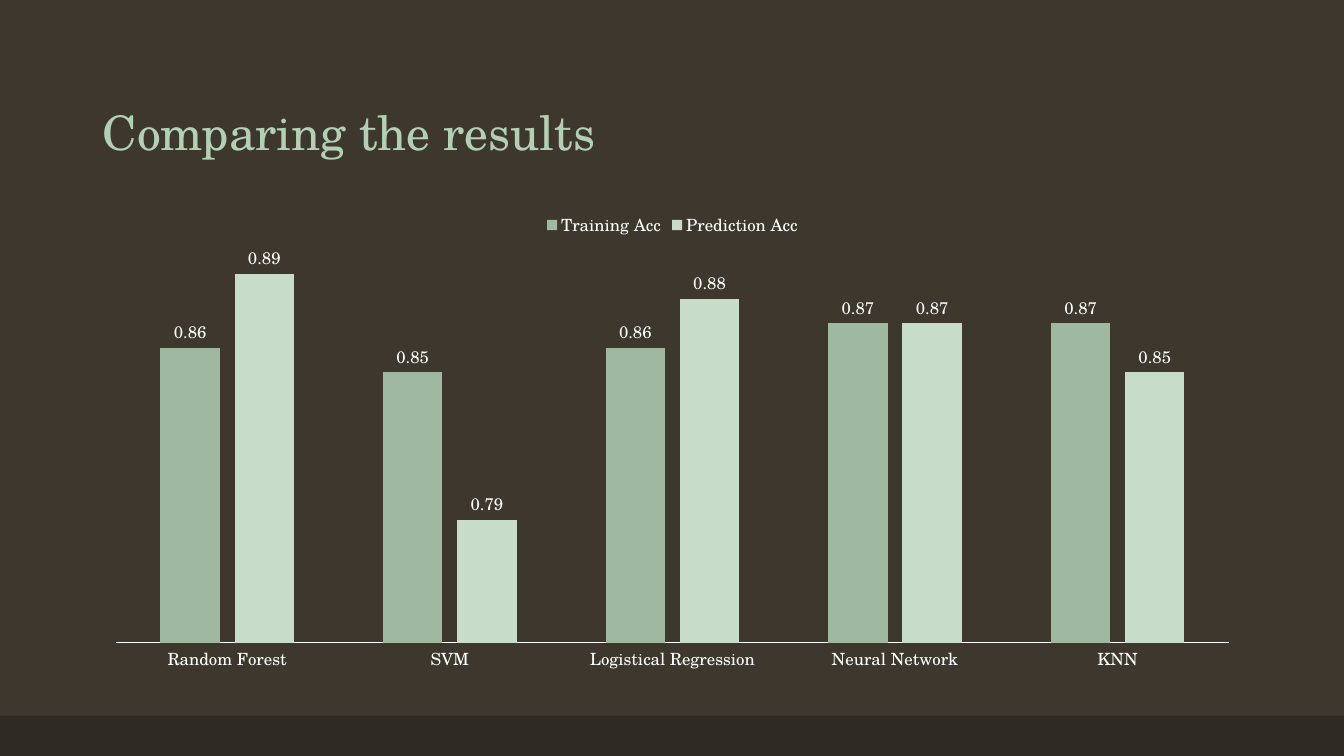
from dataclasses import dataclass

from lxml import etree
from pptx import Presentation
from pptx import util as u
from pptx.chart.data import CategoryChartData
from pptx.dml.color import RGBColor
from pptx.enum import chart as ch
from pptx.enum import shapes, text
from pptx.oxml.ns import qn


@dataclass(frozen=True)
class Theme:
    font: str = "TeX Gyre Schola"
    background: str = "3D372E"
    band: str = "2E2923"
    title: str = "B2D0B4"
    text: str = "FFFFFF"
    series: tuple = ("9EB9A0", "C7DCC9")
    title_size: int = 34
    chart_size: int = 12


THEME = Theme()
W, H = u.Inches(13.33), u.Inches(7.5)
MARGIN = u.Inches(0.92)
CONTENT_W = u.Inches(11.5)

MODELS = ("Random Forest", "SVM", "Logistical Regression", "Neural Network", "KNN")
ACCURACY = {
    "Training Acc": (0.86, 0.85, 0.86, 0.87, 0.87),
    "Prediction Acc": (0.89, 0.79, 0.88, 0.87, 0.85),
}


def paint(fill, color):
    fill.solid()
    fill.fore_color.rgb = RGBColor.from_string(color)


def style_font(font, size, color):
    font.name = THEME.font
    font.size = u.Pt(size)
    font.color.rgb = RGBColor.from_string(color)


def add_band(s, box):
    sp = s.shapes.add_shape(shapes.MSO_SHAPE.RECTANGLE, *box)
    sp.shadow.inherit = False
    paint(sp.fill, THEME.band)
    sp.line.fill.background()


def add_title(s, box, words):
    sp = s.shapes.title
    sp.left, sp.top, sp.width, sp.height = box
    tf = sp.text_frame
    tf.word_wrap = True
    tf.auto_size = text.MSO_AUTO_SIZE.NONE
    tf.vertical_anchor = text.MSO_ANCHOR.BOTTOM
    p = tf.paragraphs[0]
    p.alignment = text.PP_ALIGN.LEFT
    p.line_spacing = 0.9
    r = p.add_run()
    r.text = words
    style_font(r.font, THEME.title_size, THEME.title)


def set_plot_area(chart, **shares):
    """Place the inner plot area as shares of the chart's box."""
    plot_area = chart.element.find(".//" + qn("c:plotArea"))
    layout = plot_area.find(qn("c:layout"))
    if layout is None:
        layout = etree.Element(qn("c:layout"))
        plot_area.insert(0, layout)
    manual = etree.SubElement(layout, qn("c:manualLayout"))
    settings = {"layoutTarget": "inner", "xMode": "edge", "yMode": "edge", **shares}
    for tag, val in settings.items():
        etree.SubElement(manual, qn("c:" + tag)).set("val", str(val))


def add_accuracy_chart(s, box):
    data = CategoryChartData(number_format="0.00")
    data.categories = MODELS
    for name, values in ACCURACY.items():
        data.add_series(name, values)
    chart = s.shapes.add_chart(ch.XL_CHART_TYPE.COLUMN_CLUSTERED, *box, data).chart
    style_font(chart.font, THEME.chart_size, THEME.text)
    chart.has_title = False

    # Legend
    chart.has_legend = True
    chart.legend.position = ch.XL_LEGEND_POSITION.TOP
    chart.legend.include_in_layout = False
    style_font(chart.legend.font, THEME.chart_size, THEME.text)

    # Axes
    values = chart.value_axis
    values.minimum_scale, values.maximum_scale = 0.74, 0.9
    values.has_major_gridlines = False
    values.visible = False
    models = chart.category_axis
    models.major_tick_mark = ch.XL_TICK_MARK.NONE
    models.format.line.width = u.Pt(0.75)
    paint(models.format.line.fill, THEME.text)
    style_font(models.tick_labels.font, THEME.chart_size, THEME.text)

    # Columns and their labels
    plot = chart.plots[0]
    plot.vary_by_categories = False
    plot.gap_width, plot.overlap = 150, -25
    for series, color in zip(plot.series, THEME.series):
        paint(series.format.fill, color)
        labels = series.data_labels
        labels.show_value = True
        labels.position = ch.XL_LABEL_POSITION.OUTSIDE_END
        style_font(labels.font, THEME.chart_size, THEME.text)
    set_plot_area(chart, x=0.02, y=0.1, w=0.96, h=0.82)


def main():
    prs = Presentation()
    prs.slide_width, prs.slide_height = W, H
    s = prs.slides.add_slide(prs.slide_layouts[5])
    paint(s.background.fill, THEME.background)

    band_h = u.Inches(0.4)
    add_band(s, (0, H - band_h, W, band_h))
    add_title(s, (MARGIN, u.Inches(0.4), CONTENT_W, u.Inches(1.25)),
              "Comparing the results")
    add_accuracy_chart(s, (MARGIN, u.Inches(2), CONTENT_W, u.Inches(4.76)))
    prs.save("out.pptx")


if __name__ == "__main__":
    main()
